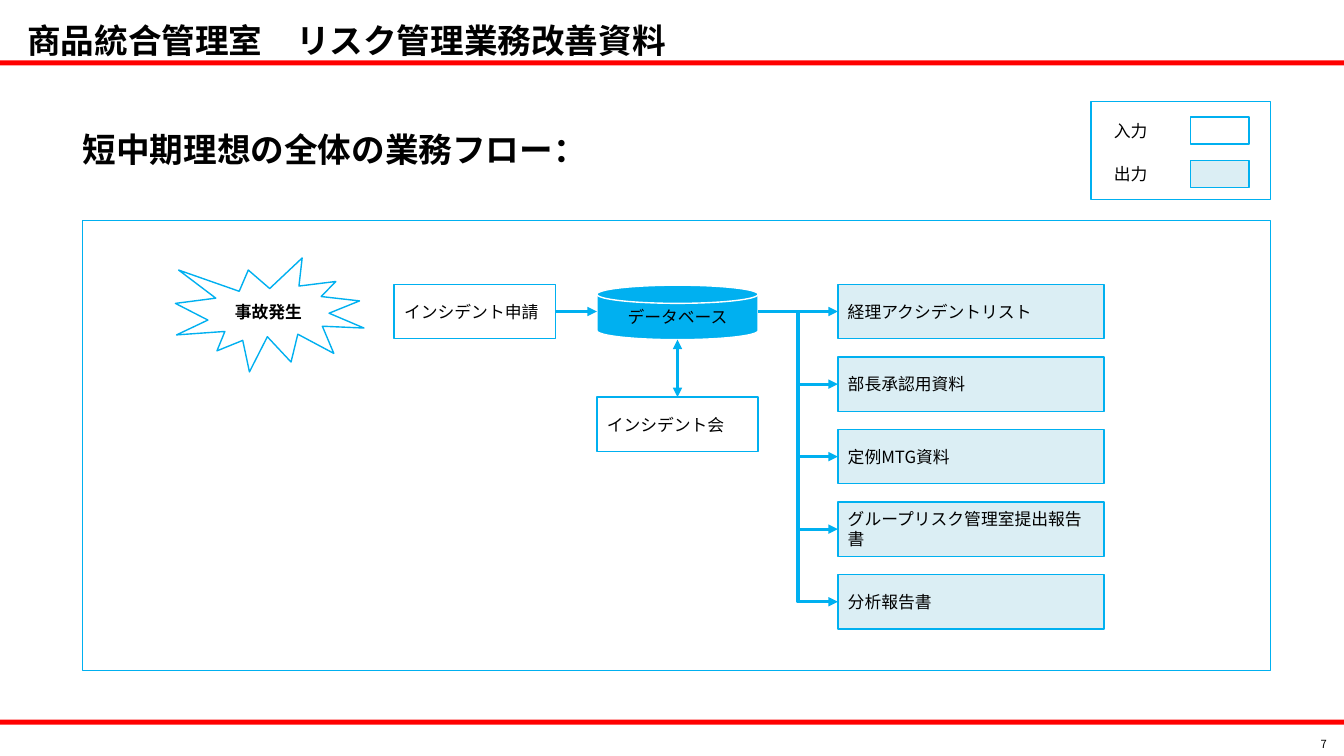
import collections
import dataclasses

import lxml.etree
import pptx
import pptx.dml.color
import pptx.enum.shapes
import pptx.enum.text
import pptx.oxml
import pptx.oxml.ns
import pptx.util

Inches = pptx.util.Inches
Shapes = pptx.enum.shapes.MSO_SHAPE
Connectors = pptx.enum.shapes.MSO_CONNECTOR
Align = pptx.enum.text.PP_ALIGN
Box = collections.namedtuple("Box", "left top width height")


@dataclasses.dataclass(frozen=True)
class Theme:
    """Colours, font and sizes of the slide."""
    font: str = "Noto Sans CJK JP"
    text: str = "000000"
    paper: str = "FFFFFF"
    accent: str = "00B0F0"
    output: str = "DBEEF4"
    rule: str = "FF0000"
    heading_size: float = 24
    body_size: float = 12
    number_size: float = 8
    outline: float = 1
    arrow: float = 2.25


THEME = Theme()


def color(value):
    """Turn a hex string into a colour."""
    return pptx.dml.color.RGBColor.from_string(value)


def inside(box, left, top, width, height):
    """Place a box by its offset from the corner of another box."""
    return Box(box.left + left, box.top + top, width, height)


def write(shape, text, size=THEME.body_size, bold=False, align=Align.LEFT,
          margins=(0.1, 0.05), wrap=True):
    """Fill a shape with one vertically centred paragraph."""
    frame = shape.text_frame
    frame.word_wrap = wrap
    frame.auto_size = pptx.enum.text.MSO_AUTO_SIZE.NONE
    frame.vertical_anchor = pptx.enum.text.MSO_ANCHOR.MIDDLE
    frame.margin_left = frame.margin_right = Inches(margins[0])
    frame.margin_top = frame.margin_bottom = Inches(margins[1])
    paragraph = frame.paragraphs[0]
    paragraph.alignment = align
    run = paragraph.add_run()
    run.text = text
    run.font.name = THEME.font
    run.font.size = pptx.util.Pt(size)
    run.font.bold = bold
    run.font.color.rgb = color(THEME.text)
    east_asian = lxml.etree.SubElement(run.font._element, pptx.oxml.ns.qn("a:ea"))
    east_asian.set("typeface", THEME.font)


def add_label(slide, box, text, **text_format):
    """Add a text box."""
    write(slide.shapes.add_textbox(*map(Inches, box)), text, **text_format)


def add_block(slide, box, kind=Shapes.RECTANGLE, fill=THEME.paper,
              line=THEME.accent, text="", **text_format):
    """Add a preset shape, with text if given."""
    shape = slide.shapes.add_shape(kind, *map(Inches, box))
    shape.shadow.inherit = False
    if fill:
        shape.fill.solid()
        shape.fill.fore_color.rgb = color(fill)
    else:
        shape.fill.background()
    if line:
        shape.line.color.rgb = color(line)
        shape.line.width = pptx.util.Pt(THEME.outline)
    else:
        shape.line.fill.background()
    if text:
        write(shape, text, **text_format)


def add_arrow(slide, start, end, kind=Connectors.STRAIGHT, ends=("tailEnd",)):
    """Add a connector with triangle heads at the named ends."""
    connector = slide.shapes.add_connector(kind, *map(Inches, (*start, *end)))
    connector.line.color.rgb = color(THEME.accent)
    connector.line.width = pptx.util.Pt(THEME.arrow)
    properties = connector._element.spPr
    line = properties.find(pptx.oxml.ns.qn("a:ln"))
    for name in ends:
        head = lxml.etree.SubElement(line, pptx.oxml.ns.qn(f"a:{name}"))
        head.set("type", "triangle")
    lxml.etree.SubElement(properties, pptx.oxml.ns.qn("a:effectLst"))


def add_page_frame(slide, box):
    """Add the title, both red rules and the page number."""
    for top in (0.6, 7.14):
        add_block(slide, inside(box, 0, top, box.width, 0.05),
                  fill=THEME.rule, line=None)
    title = slide.shapes.title
    title.left, title.top, title.width, title.height = map(
        Inches, inside(box, 0.17, 0.04, 12.34, 0.71))
    write(title, "商品統合管理室　リスク管理業務改善資料",
          size=THEME.heading_size, bold=True)
    add_label(slide, inside(box, 12.83, 7.32, 0.43, 0.13), "7",
              size=THEME.number_size, align=Align.RIGHT,
              margins=(0.1, 0), wrap=False)


def add_legend(slide, box):
    """Add the key to the input and output colours."""
    add_block(slide, box)
    entries = (("入力", THEME.paper), ("出力", THEME.output))
    for row, (name, fill) in enumerate(entries):
        top = 0.15 + row * 0.43
        add_label(slide, inside(box, 0.13, top, 0.58, 0.27), name)
        add_block(slide, inside(box, 0.99, top, 0.58, 0.27), fill=fill)


def add_flow(slide, box):
    """Add the flow from the accident through the database to its outputs."""
    add_block(slide, box, fill=None)
    width, height, pitch = 1.6, 0.54, 0.72
    request = inside(box, 3.09, 0.63, width, height)
    database = inside(box, 5.1, 0.64, width, height)
    meeting = inside(box, 5.1, 1.75, width, height)
    add_block(slide, inside(box, 0.92, 0.37, 1.87, 1.13), Shapes.EXPLOSION1,
              text="事故発生", bold=True, align=Align.CENTER)
    add_block(slide, request, text="インシデント申請")
    add_block(slide, meeting, text="インシデント会")
    add_block(slide, database, Shapes.FLOWCHART_MAGNETIC_DISK,
              fill=THEME.accent, line=THEME.paper,
              text="データベース", align=Align.CENTER)

    flow_middle = request.top + height / 2
    center = database.left + width / 2
    source = (database.left + width, flow_middle)
    add_arrow(slide, (request.left + width, flow_middle),
              (database.left, flow_middle))
    add_arrow(slide, (center, meeting.top), (center, database.top + height),
              ends=("headEnd", "tailEnd"))

    outputs = ("経理アクシデントリスト", "部長承認用資料", "定例MTG資料",
               "グループリスク管理室提出報告書", "分析報告書")
    for row, name in enumerate(outputs):
        output = inside(box, 7.49, 0.63 + row * pitch, 2.64, height)
        add_block(slide, output, fill=THEME.output, text=name)
        add_arrow(slide, source, (output.left, output.top + height / 2),
                  kind=Connectors.ELBOW if row else Connectors.STRAIGHT)


def build_slide(presentation):
    """Add the business flow slide."""
    slide = presentation.slides.add_slide(
        presentation.slide_layouts.get_by_name("Title Only"))
    add_page_frame(slide, Box(0, 0, 13.33, 7.5))
    add_label(slide, Box(0.82, 0.75, 9.8, 1.45), "短中期理想の全体の業務フロー：",
              size=THEME.heading_size, bold=True, margins=(0, 0))
    add_legend(slide, Box(10.82, 1.01, 1.78, 0.97))
    add_flow(slide, Box(0.82, 2.19, 11.78, 4.46))


presentation = pptx.Presentation()
presentation.slide_width = Inches(13.33)
presentation.slide_height = Inches(7.5)
build_slide(presentation)
presentation.save("out.pptx")
